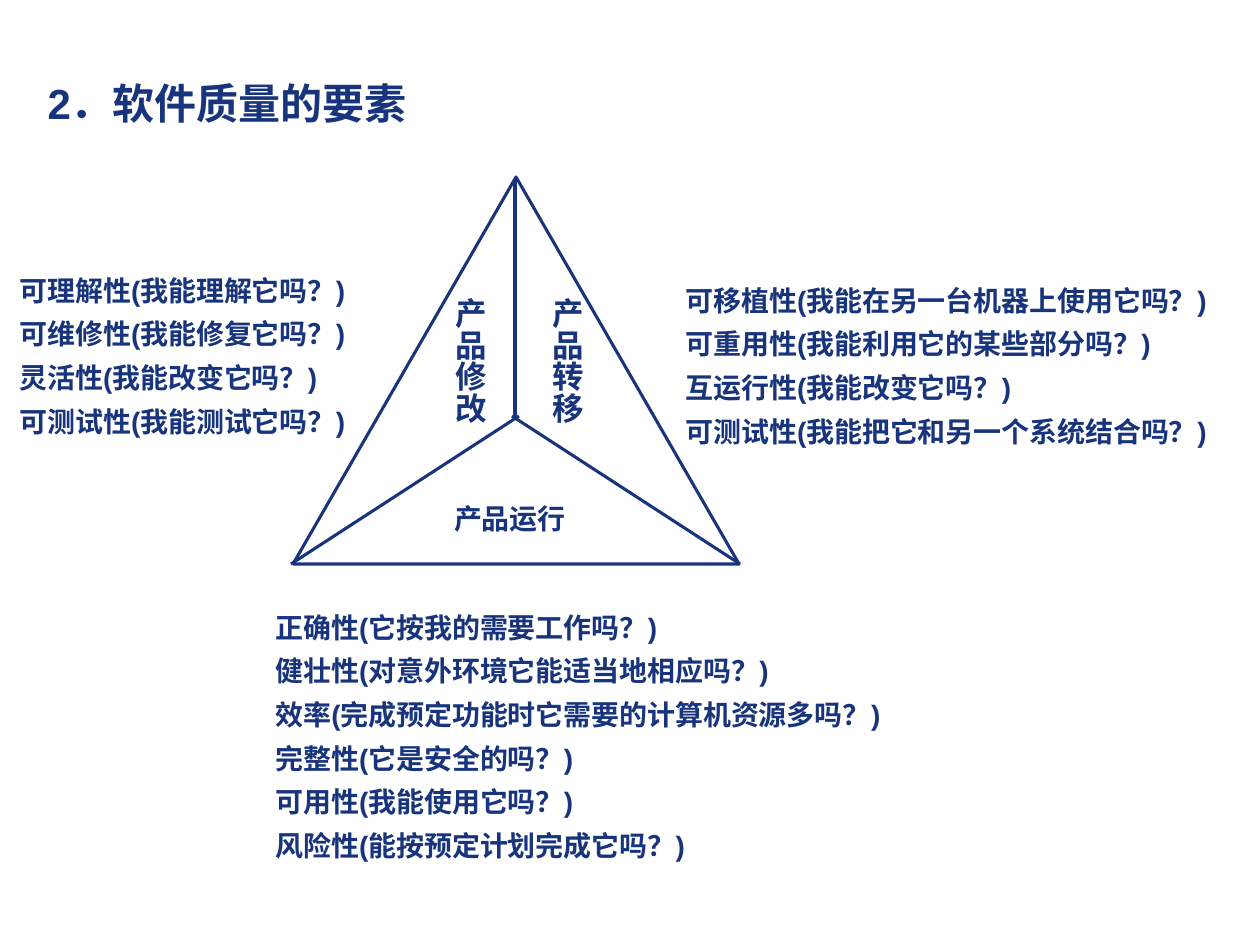
from lxml.etree import SubElement
from pptx import Presentation
from pptx.dml.color import RGBColor
from pptx.enum.lang import MSO_LANGUAGE_ID as Lang
from pptx.enum.shapes import MSO_CONNECTOR as Connector, MSO_SHAPE as Shape
from pptx.enum.text import MSO_ANCHOR as Anchor, MSO_AUTO_SIZE as AutoSize, PP_ALIGN as Align
from pptx.oxml.ns import qn
from pptx.util import Pt

NAVY = RGBColor(0x17, 0x34, 0x7D)
FONT = "Arial"
EMU_PER_PX = 914400 / 126

MODIFICATION = [
    "可理解性(我能理解它吗？)",
    "可维修性(我能修复它吗？)",
    "灵活性(我能改变它吗？)",
    "可测试性(我能测试它吗？)",
]
TRANSFER = [
    "可移植性(我能在另一台机器上使用它吗？)",
    "可重用性(我能利用它的某些部分吗？)",
    "互运行性(我能改变它吗？)",
    "可测试性(我能把它和另一个系统结合吗？)",
]
OPERATION = [
    "正确性(它按我的需要工作吗？)",
    "健壮性(对意外环境它能适当地相应吗？)",
    "效率(完成预定功能时它需要的计算机资源多吗？)",
    "完整性(它是安全的吗？)",
    "可用性(我能使用它吗？)",
    "风险性(能按预定计划完成它吗？)",
]


def px(*lengths):
    """Turn whole pixels into EMU."""
    return [round(length * EMU_PER_PX) for length in lengths]


def write(frame, lines, size, align=Align.LEFT, spacing=1.0):
    """Fill a text frame with bold navy paragraphs."""
    frame.text = "\n".join(lines)
    for paragraph in frame.paragraphs:
        paragraph.alignment = align
        paragraph.line_spacing = spacing
        font = paragraph.font
        font.name, font.size, font.bold = FONT, Pt(size), True
        font.color.rgb = NAVY
        font.language_id = Lang.SIMPLIFIED_CHINESE


def set_title(slide, text):
    """Place and format the title placeholder."""
    title = slide.shapes.title
    title.left, title.top, title.width, title.height = px(35, 66, 1173, 89)
    frame = title.text_frame
    frame.vertical_anchor = Anchor.TOP
    frame.auto_size = AutoSize.NONE
    write(frame, [text], 24, spacing=1.1)


def add_text(slide, box):
    """Add a growing text box and return its frame."""
    frame = slide.shapes.add_textbox(*px(*box)).text_frame
    frame.word_wrap = True
    frame.auto_size = AutoSize.SHAPE_TO_FIT_TEXT
    return frame


def add_questions(slide, box, questions):
    """Add a list of quality factors with their questions."""
    write(add_text(slide, box), questions, 16, spacing=1.3)


def add_vertical_label(slide, left, text):
    """Add a label whose characters run from top to bottom."""
    frame = add_text(slide, (left, 285, 63, 160))
    frame.margin_left, frame.margin_right = px(6, 6)
    frame.margin_top, frame.margin_bottom = px(13, 13)
    frame._txBody.bodyPr.set("vert", "eaVert")
    write(frame, [text], 18, Align.CENTER)


def outline(shape):
    """Give a shape or connector the navy line."""
    shape.line.color.rgb = NAVY
    shape.line.width = Pt(1.75)


def add_triangle(slide):
    """Draw the triangle split into three areas from its centre."""
    parts = slide.shapes.add_group_shape().shapes
    triangle = parts.add_shape(Shape.ISOSCELES_TRIANGLE, *px(293, 177, 446, 387))
    triangle.shadow.inherit = False
    triangle.fill.background()
    outline(triangle)
    for ends in ((291, 564, 519, 416), (515, 179, 515, 417), (512, 416, 740, 564)):
        divider = parts.add_connector(Connector.STRAIGHT, *px(*ends))
        outline(divider)
        SubElement(divider._element.spPr, qn("a:effectLst"))


def main():
    """Build the slide on the factors of software quality."""
    deck = Presentation()
    deck.slide_width, deck.slide_height = px(1260, 945)
    slide = deck.slides.add_slide(deck.slide_layouts[5])
    set_title(slide, "2．软件质量的要素")
    add_triangle(slide)
    add_vertical_label(slide, 432, "产品修改")
    add_vertical_label(slide, 529, "产品转移")
    write(add_text(slide, (435, 495, 150, 47)), ["产品运行"], 16, Align.CENTER)
    add_questions(slide, (7, 257, 384, 188), MODIFICATION)
    add_questions(slide, (673, 267, 582, 188), TRANSFER)
    add_questions(slide, (263, 594, 774, 275), OPERATION)
    deck.save("out.pptx")


if __name__ == "__main__":
    main()
